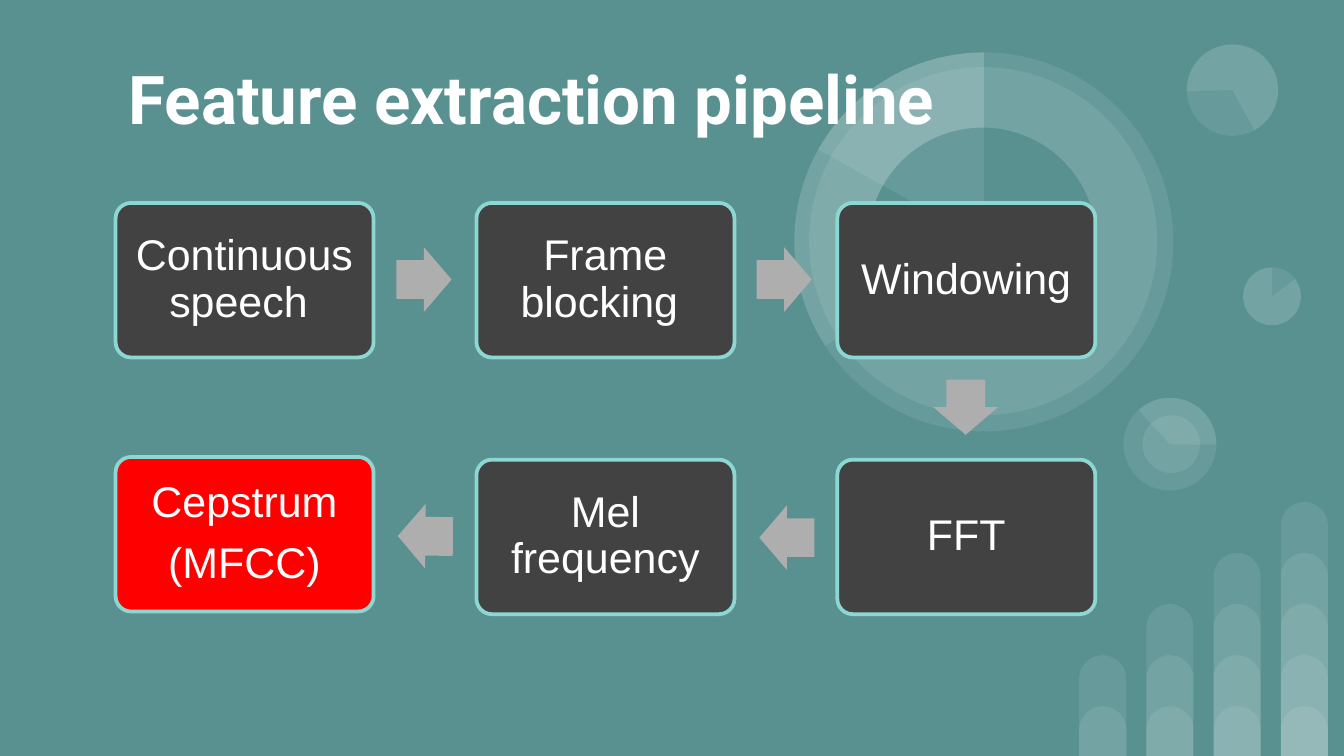
from lxml.etree import SubElement
from pptx import Presentation
from pptx.dml.color import RGBColor
from pptx.enum.shapes import MSO_SHAPE
from pptx.enum.text import MSO_ANCHOR, PP_ALIGN
from pptx.oxml.ns import qn
from pptx.util import Inches, Pt

COLORS = {
    "background": "599191",
    "white": "FFFFFF",
    "step": "424242",
    "result": "FF0000",
    "border": "8DD7D2",
    "arrow": "AEAEAE",
}
VEIL = 9

TITLE = "Feature extraction pipeline"

STEPS = [
    {"lines": ["Continuous speech "], "column": 0, "top": 1.51, "color": "step"},
    {"lines": ["Frame blocking "], "column": 1, "top": 1.51, "color": "step"},
    {"lines": ["Windowing"], "column": 2, "top": 1.51, "color": "step"},
    {"lines": ["FFT"], "column": 2, "top": 3.42, "color": "step"},
    {"lines": ["Mel frequency"], "column": 1, "top": 3.42, "color": "step"},
    {"lines": ["Cepstrum", "(MFCC)"], "column": 0, "top": 3.4, "color": "result"},
]
ARROWS = [
    {"left": 2.95, "top": 1.84, "rotation": 0},
    {"left": 5.63, "top": 1.84, "rotation": 0},
    {"left": 6.98, "top": 2.79, "rotation": 90},
    {"left": 5.65, "top": 3.76, "rotation": 180},
    {"left": 2.96, "top": 3.75, "rotation": 180.5},
]
DISCS = [
    {"box": (9.25, 1.99, 0.43), "slices": [None, (322.95, 270)]},
    {"box": (8.36, 2.96, 0.69), "rotation": 90, "slices": [None, (137.41, 270.77)]},
    {"box": (8.5, 3.09, 0.43), "rotation": 90, "slices": [None]},
    {"box": (8.83, 0.33, 0.68), "rotation": 215.9, "slices": [None, (322.95, 205.23)]},
    {"box": (5.91, 0.39, 2.82), "slices": [None]},
    {"box": (6.02, 0.5, 2.59), "slices": [None]},
    {"box": (5.91, 0.39, 2.82), "slices": [(146.69, 270)]},
    {"box": (6.46, 0.95, 1.7), "slices": [None], "color": "background"},
    {"box": (5.91, 0.39, 2.82), "slices": [(209.24, 270)]},
]

SLIDE_W = 10
SLIDE_H = SLIDE_W * 9 / 16
BAR_LEFT, BAR_PITCH, BAR_W, BAR_H, BAR_RISE = 8.03, 0.5, 0.35, 0.37, 0.38
STEP_LEFT, STEP_LAST, STEP_W, STEP_H = 0.86, 6.23, 1.92, 1.15
STEP_PITCH = (STEP_LAST - STEP_LEFT) / 2


def rgb(name):
    return RGBColor.from_string(COLORS[name])


def add_figure(slide, kind, box, color, adjustments=(), rotation=0, opacity=None):
    figure = slide.shapes.add_shape(kind, *map(Inches, box))
    figure.shadow.inherit = False
    figure.rotation = rotation
    figure.fill.solid()
    figure.fill.fore_color.rgb = rgb(color)
    figure.line.fill.background()
    for index, value in enumerate(adjustments):
        figure.adjustments[index] = value
    if opacity is not None:
        tint = figure.element.spPr.find(qn("a:solidFill"))[0]
        SubElement(tint, qn("a:alpha")).set("val", str(opacity * 1000))
    return figure


def write(frame, lines, size, font, bold=False, align=PP_ALIGN.LEFT, spacing=1.0):
    frame.word_wrap = True
    frame.vertical_anchor = MSO_ANCHOR.MIDDLE
    frame.margin_left = frame.margin_right = Inches(0.1)
    frame.margin_top = frame.margin_bottom = Inches(0.1)
    for index, line in enumerate(lines):
        paragraph = frame.add_paragraph() if index else frame.paragraphs[0]
        paragraph.text = line
        paragraph.alignment = align
        paragraph.line_spacing = spacing
        paragraph.space_before = Pt(8.1 if index else 0)
        paragraph.font.size = Pt(size)
        paragraph.font.name = font
        paragraph.font.bold = bold
        paragraph.font.color.rgb = rgb("white")


def add_backdrop(slide):
    for column in range(4):
        for level in range(column + 2):
            height = BAR_H + level * BAR_RISE
            box = (BAR_LEFT + column * BAR_PITCH, SLIDE_H - height, BAR_W, height)
            add_figure(slide, MSO_SHAPE.ROUND_2_SAME_RECTANGLE, box, "white",
                       (0.5, 0), opacity=VEIL)
    for disc in DISCS:
        left, top, size = disc["box"]
        color = disc.get("color", "white")
        for angles in disc["slices"]:
            kind = MSO_SHAPE.PIE if angles else MSO_SHAPE.OVAL
            adjustments = [angle * 0.6 for angle in angles or ()]
            add_figure(slide, kind, (left, top, size, size), color, adjustments,
                       disc.get("rotation", 0), VEIL if color == "white" else None)


def add_pipeline(slide):
    for step in STEPS:
        left = STEP_LEFT + step["column"] * STEP_PITCH
        card = add_figure(slide, MSO_SHAPE.ROUNDED_RECTANGLE,
                          (left, step["top"], STEP_W, STEP_H), step["color"], (0.1,))
        card.line.color.rgb = rgb("border")
        card.line.width = Pt(2)
        write(card.text_frame, step["lines"], 23, "Arial",
              align=PP_ALIGN.CENTER, spacing=0.9)
    for arrow in ARROWS:
        add_figure(slide, MSO_SHAPE.RIGHT_ARROW, (arrow["left"], arrow["top"], 0.41, 0.48),
                   "arrow", (0.6, 0.5), arrow["rotation"])


def main():
    deck = Presentation()
    deck.slide_width, deck.slide_height = Inches(SLIDE_W), Inches(SLIDE_H)
    slide = deck.slides.add_slide(deck.slide_layouts[6])
    slide.background.fill.solid()
    slide.background.fill.fore_color.rgb = rgb("background")
    add_backdrop(slide)
    title = slide.shapes.add_textbox(*map(Inches, (0.86, 0.21, 8.29, 1.04)))
    write(title.text_frame, [TITLE], 36, "Roboto", bold=True)
    add_pipeline(slide)
    deck.save("out.pptx")


if __name__ == "__main__":
    main()
